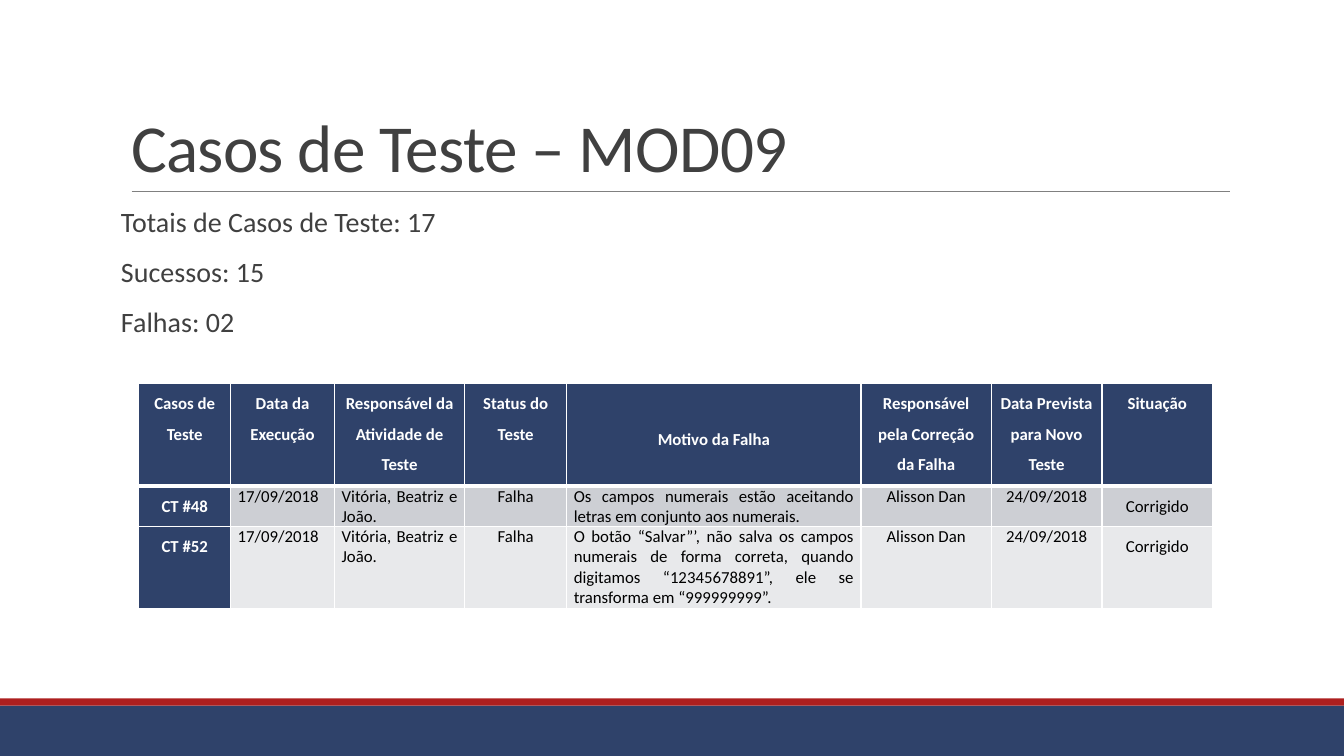
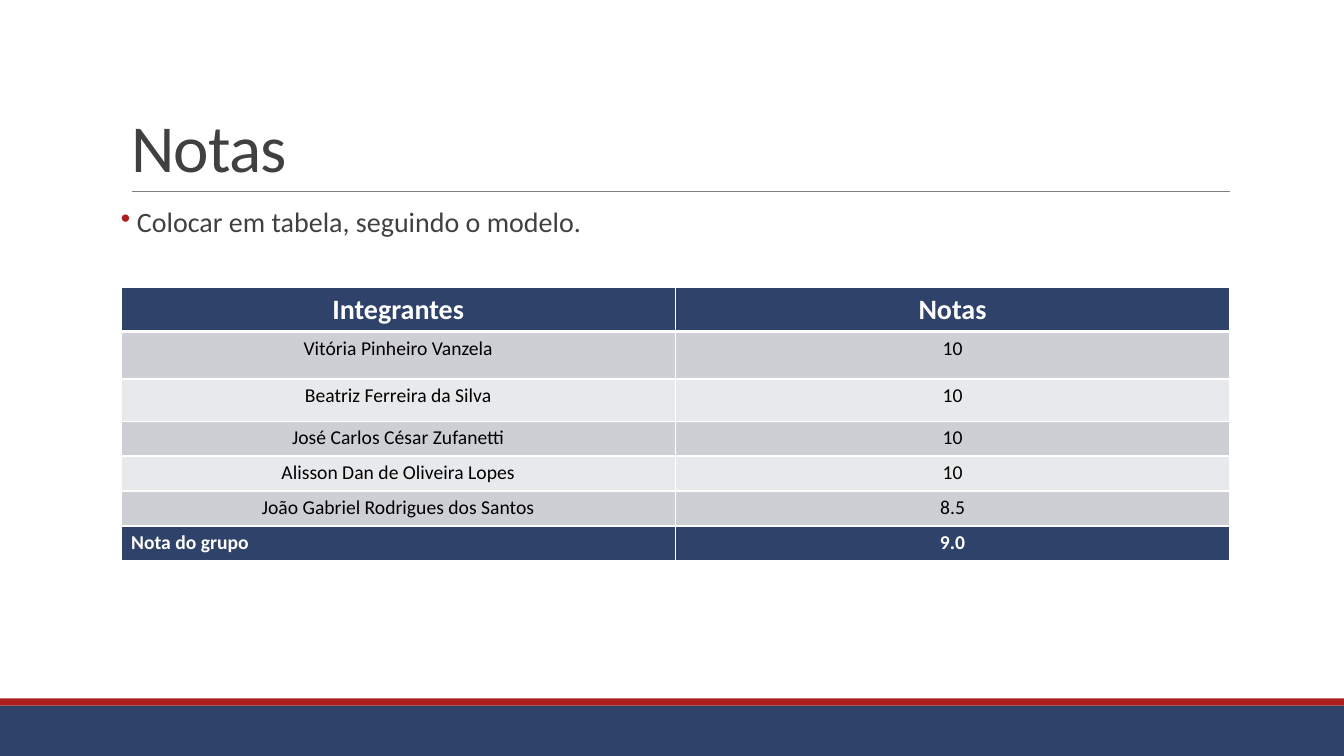
"""Build the test-case summary and group grades slides."""
from lxml.etree import SubElement
from pptx import Presentation
from pptx.dml.color import RGBColor
from pptx.enum.shapes import MSO_CONNECTOR, MSO_SHAPE
from pptx.enum.text import MSO_ANCHOR, PP_ALIGN as ALIGN
from pptx.oxml.ns import qn
from pptx.util import Cm, Pt

COLORS = {
    name: RGBColor.from_string(value)
    for name, value in {
        "navy": "2F426A", "red": "AD1F1F", "rule": "808080", "text": "404040",
        "white": "FFFFFF", "black": "000000",
        "band_dark": "CDCFD4", "band_light": "E8E9EB",
    }.items()
}
FONT = "Calibri"
LEFT, CONTENT_WIDTH = Cm(3.05), Cm(27.94)

presentation = Presentation()
presentation.slide_width = Cm(33.87)
presentation.slide_height = Cm(19.05)


def add_titled_slide(title_text, lines, bulleted=False):
    slide = presentation.slides.add_slide(presentation.slide_layouts[5])

    for color, top, height in (("navy", 17.78, 1.27), ("red", 17.6, 0.18)):
        band = slide.shapes.add_shape(
            MSO_SHAPE.RECTANGLE, 0, Cm(top), presentation.slide_width, Cm(height))
        band.shadow.inherit = False
        band.fill.solid()
        band.fill.fore_color.rgb = COLORS[color]
        band.line.fill.background()

    rule = slide.shapes.add_connector(
        MSO_CONNECTOR.STRAIGHT, Cm(3.32), Cm(4.83), Cm(31), Cm(4.83))
    rule.line.color.rgb = COLORS["rule"]
    rule.line.width = Pt(0.5)
    SubElement(rule.element.spPr, qn("a:effectLst"))

    title = slide.shapes.title
    title.left, title.top, title.width, title.height = LEFT, Cm(0.79), CONTENT_WIDTH, Cm(4.04)
    title.text_frame.text = title_text
    title.text_frame.vertical_anchor = MSO_ANCHOR.BOTTOM
    paragraph = title.text_frame.paragraphs[0]
    paragraph.alignment = ALIGN.LEFT
    paragraph.line_spacing = 0.85
    run = paragraph.runs[0]
    run.font.name, run.font.size = FONT, Pt(48)
    run.font.color.rgb = COLORS["text"]
    run.font._element.set("spc", "-50")

    body = slide.shapes.add_textbox(LEFT, Cm(5.13), CONTENT_WIDTH, Cm(1.4 * len(lines)))
    frame = body.text_frame
    frame.word_wrap = True
    frame.margin_left = frame.margin_right = 0
    frame.text = "\n".join(lines)
    for index, paragraph in enumerate(frame.paragraphs):
        if bulleted:
            properties = paragraph._p.get_or_add_pPr()
            properties.set("marL", str(Cm(0.4)))
            properties.set("indent", str(-Cm(0.4)))
            bullet_color = SubElement(properties, qn("a:buClr"))
            SubElement(bullet_color, qn("a:srgbClr"), val=str(COLORS["red"]))
            SubElement(properties, qn("a:buChar"), char="•")
        paragraph.line_spacing = 0.9
        paragraph.space_before = Pt(12 if index else 0)
        paragraph.space_after = Pt(2)
        paragraph.runs[0].font.name = FONT
        paragraph.runs[0].font.size = Pt(20)
        paragraph.runs[0].font.color.rgb = COLORS["text"]
    return slide


def add_grid(slide, left, top, widths, heights, rows, size, alignments,
             first_col=False, last_row=False):
    table = slide.shapes.add_table(
        len(rows), len(widths), left, top, Cm(sum(widths)), Cm(sum(heights))).table
    table.first_col, table.last_row = first_col, last_row
    for column, width in zip(table.columns, widths):
        column.width = Cm(width)
    for row_index, (row, height) in enumerate(zip(rows, heights)):
        table.rows[row_index].height = Cm(height)
        for column_index, text in enumerate(row):
            cell = table.cell(row_index, column_index)
            emphasized = (row_index == 0 or first_col and column_index == 0
                          or last_row and row_index == len(rows) - 1)
            for side in "LRTB":
                thick = (row_index, side) in ((0, "B"), (1, "T"))
                border = SubElement(cell._tc.get_or_add_tcPr(), qn(f"a:ln{side}"),
                                    w=str(Pt(3 if thick else 1)))
                border_fill = SubElement(border, qn("a:solidFill"))
                SubElement(border_fill, qn("a:srgbClr"), val=str(COLORS["white"]))
            band = "band_dark" if row_index % 2 else "band_light"
            cell.fill.solid()
            cell.fill.fore_color.rgb = COLORS["navy" if emphasized else band]
            cell.text_frame.text = text
            paragraph = cell.text_frame.paragraphs[0]
            paragraph.alignment = alignments[column_index] if row_index else ALIGN.CENTER
            font = paragraph.runs[0].font
            font.name, font.size, font.bold = FONT, Pt(size), emphasized
            font.color.rgb = COLORS["white" if emphasized else "black"]
    return table


test_slide = add_titled_slide(
    "Casos de Teste – MOD09",
    ["Totais de Casos de Teste: 17", "Sucessos: 15", "Falhas: 02"])
test_rows = [
    ["Casos de Teste", "Data da Execução", "Responsável da Atividade de Teste",
     "Status do Teste", "Motivo da Falha", "Responsável pela Correção da Falha",
     "Data Prevista para Novo Teste", "Situação"],
    ["CT #48", "17/09/2018", "Vitória, Beatriz e João.", "Falha",
     "Os campos numerais estão aceitando letras em conjunto aos numerais.",
     "Alisson Dan", "24/09/2018", "Corrigido"],
    ["CT #52", "17/09/2018", "Vitória, Beatriz e João.", "Falha",
     "O botão “Salvar”’, não salva os campos numerais de forma correta, quando "
     "digitamos “12345678891”, ele se transforma em “999999999”.",
     "Alisson Dan", "24/09/2018", "Corrigido"],
]
test_table = add_grid(
    test_slide, Cm(3.5), Cm(9.66),
    [2.31, 2.62, 3.28, 2.57, 7.42, 3.28, 2.79, 2.79], [2.59, 1, 2.06], test_rows, 12,
    [ALIGN.CENTER, ALIGN.JUSTIFY, ALIGN.JUSTIFY, ALIGN.CENTER,
     ALIGN.JUSTIFY, ALIGN.CENTER, ALIGN.CENTER, ALIGN.CENTER],
    first_col=True)
for row_index, row in enumerate(test_table.rows):
    for column_index, cell in enumerate(row.cells):
        cell.margin_left = cell.margin_right = Cm(0.18)
        cell.margin_top = cell.margin_bottom = 0
        if row_index == 0 or column_index in (0, 7):
            cell.text_frame.paragraphs[0].line_spacing = 1.5
test_table.cell(0, 4).vertical_anchor = MSO_ANCHOR.MIDDLE

grade_slide = add_titled_slide(
    "Notas", ["Colocar em tabela, seguindo o modelo."], bulleted=True)
grade_rows = [
    ["Integrantes", "Notas"],
    ["Vitória Pinheiro Vanzela", "10"],
    ["Beatriz Ferreira da Silva", "10"],
    ["José Carlos César Zufanetti", "10"],
    ["Alisson Dan de Oliveira Lopes", "10"],
    ["João Gabriel Rodrigues dos Santos", "8.5"],
    ["Nota do grupo", "9.0"],
]
grade_table = add_grid(
    grade_slide, LEFT, Cm(7.25), [13.97] * 2, [1.1, 1.2, 1.06] + [0.88] * 4,
    grade_rows, 14, [ALIGN.CENTER] * 2, last_row=True)
for cell in grade_table.rows[0].cells:
    cell.text_frame.paragraphs[0].runs[0].font.size = Pt(20)
grade_table.cell(6, 0).text_frame.paragraphs[0].alignment = ALIGN.LEFT

presentation.save("out.pptx")
